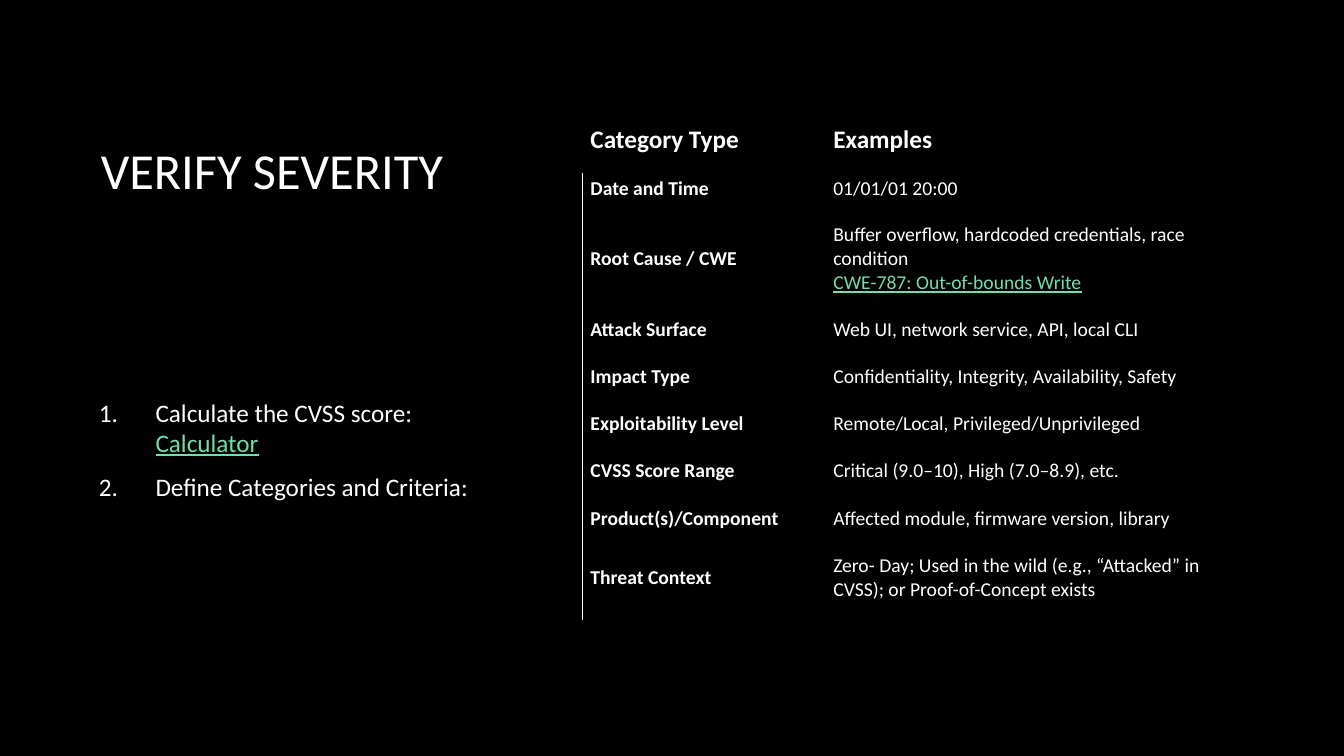
from lxml.etree import SubElement
from pptx import Presentation
from pptx.dml.color import RGBColor
from pptx.enum.text import MSO_ANCHOR
from pptx.oxml import parse_xml
from pptx.oxml.ns import nsdecls, qn
from pptx.util import Cm, Pt

BLACK, WHITE, GREEN = "000000", "FFFFFF", "71DDAB"
FONT = "Calibri"
PLAIN_TABLE = "{2D5ABB26-0587-4C30-8999-92F81FD0307C}"

ROWS = [
    ("Category Type", ["Examples"], 1.4),
    ("Date and Time", ["01/01/01 20:00"], 1.19),
    ("Root Cause / CWE",
     ["Buffer overflow, hardcoded credentials, race condition",
      ("CWE-787: Out-of-bounds Write", "link")], 2.36),
    ("Attack Surface", ["Web UI, network service, API, local CLI"], 1.19),
    ("Impact Type", ["Confidentiality, Integrity, Availability, Safety"], 1.19),
    ("Exploitability Level", ["Remote/Local, Privileged/Unprivileged"], 1.19),
    ("CVSS Score Range", ["Critical (9.0–10), High (7.0–8.9), etc."], 1.19),
    ("Product(s)/Component", ["Affected module, firmware version, library"], 1.19),
    ("Threat Context",
     ["Zero- Day; Used in the wild (e.g., “Attacked” in CVSS); "
      "or Proof-of-Concept exists"], 1.78),
]


def color(value):
    return RGBColor.from_string(value)


def add_span(para, text, size=14, bold=False, link=False):
    span = para.add_run()
    span.text = text
    span.font.name = FONT
    span.font.size = Pt(size)
    span.font.bold = bold
    span.font.underline = link
    span.font.color.rgb = color(GREEN if link else WHITE)


def next_para(frame, index):
    return frame.add_paragraph() if index else frame.paragraphs[0]


def number_para(para):
    """Give the paragraph a white automatic number and a hanging indent."""
    props = para._p.get_or_add_pPr()
    props.set("marL", str(Cm(1.43)))
    props.set("indent", str(-Cm(1.43)))
    SubElement(SubElement(props, qn("a:buClr")), qn("a:srgbClr"), val=WHITE)
    SubElement(props, qn("a:buFont"), typeface="+mj-lt")
    SubElement(props, qn("a:buAutoNum"), type="arabicPeriod")


def add_left_border(cell):
    cell._tc.get_or_add_tcPr().insert(0, parse_xml(
        f'<a:lnL {nsdecls("a")} w="{Pt(1)}"><a:solidFill>'
        f'<a:srgbClr val="{WHITE}"/></a:solidFill></a:lnL>'))


class SlideBuilder:
    def __init__(self, deck):
        self.page = deck.slides.add_slide(deck.slide_layouts[6])
        self.page.background.fill.solid()
        self.page.background.fill.fore_color.rgb = color(BLACK)

    def text_frame(self, left, top, width, height):
        box = self.page.shapes.add_textbox(Cm(left), Cm(top), Cm(width), Cm(height))
        frame = box.text_frame
        frame.word_wrap = True
        frame.vertical_anchor = MSO_ANCHOR.MIDDLE
        return frame

    def title(self, text, *place):
        add_span(self.text_frame(*place).paragraphs[0], text, size=36)

    def numbered_list(self, items, *place):
        frame = self.text_frame(*place)
        frame.margin_right = Cm(0.6)
        for index, spans in enumerate(items):
            para = next_para(frame, index)
            number_para(para)
            para.space_after = Pt(10)
            for text, link in spans:
                add_span(para, text, size=18, link=link)

    def fill_cell(self, cell, lines, **style):
        cell.fill.solid()
        cell.fill.fore_color.rgb = color(BLACK)
        cell.margin_left, cell.margin_top = Cm(0.2), Cm(0.05)
        cell.margin_right, cell.margin_bottom = Cm(0.28), Cm(0.43)
        for index, line in enumerate(lines):
            link = isinstance(line, tuple)
            add_span(next_para(cell.text_frame, index),
                     line[0] if link else line, link=link, **style)

    def table(self, rows, widths, left, top):
        height = sum(row[2] for row in rows)
        table = self.page.shapes.add_table(
            len(rows), len(widths), Cm(left), Cm(top),
            Cm(sum(widths)), Cm(height)).table
        table._tbl.tblPr.find(qn("a:tableStyleId")).text = PLAIN_TABLE
        table.horz_banding = False
        for column, width in zip(table.columns, widths):
            column.width = Cm(width)
        for index, (category, examples, height) in enumerate(rows):
            header = index == 0
            table.rows[index].height = Cm(height)
            size = 18 if header else 14
            for column, lines in enumerate(([category], examples)):
                cell = table.cell(index, column)
                cell.vertical_anchor = MSO_ANCHOR.BOTTOM if header else MSO_ANCHOR.MIDDLE
                self.fill_cell(cell, lines, size=size, bold=header or column == 0)
            if not header:
                add_left_border(table.cell(index, 0))


def main():
    deck = Presentation()
    deck.slide_width, deck.slide_height = Cm(33.87), Cm(19.05)
    slide = SlideBuilder(deck)
    slide.title("VERIFY SEVERITY", 2.29, 2.24, 11.05, 4.04)
    slide.numbered_list(
        [[("Calculate the CVSS score: ", False), ("Calculator", True)],
         [("Define Categories and Criteria:", False)]],
        2.24, 6.27, 11.13, 10.11)
    slide.table(ROWS, [6.12, 10.82], 14.68, 2.95)
    deck.save("out.pptx")


if __name__ == "__main__":
    main()
